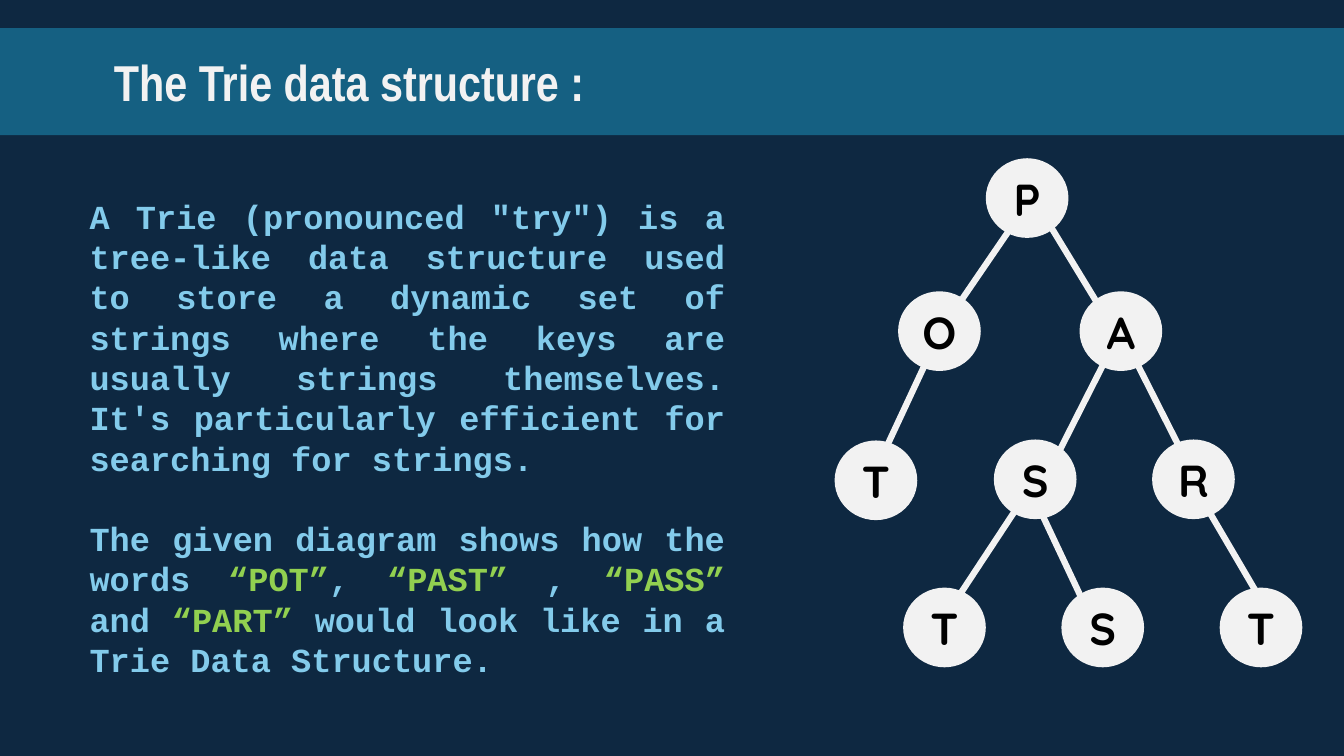
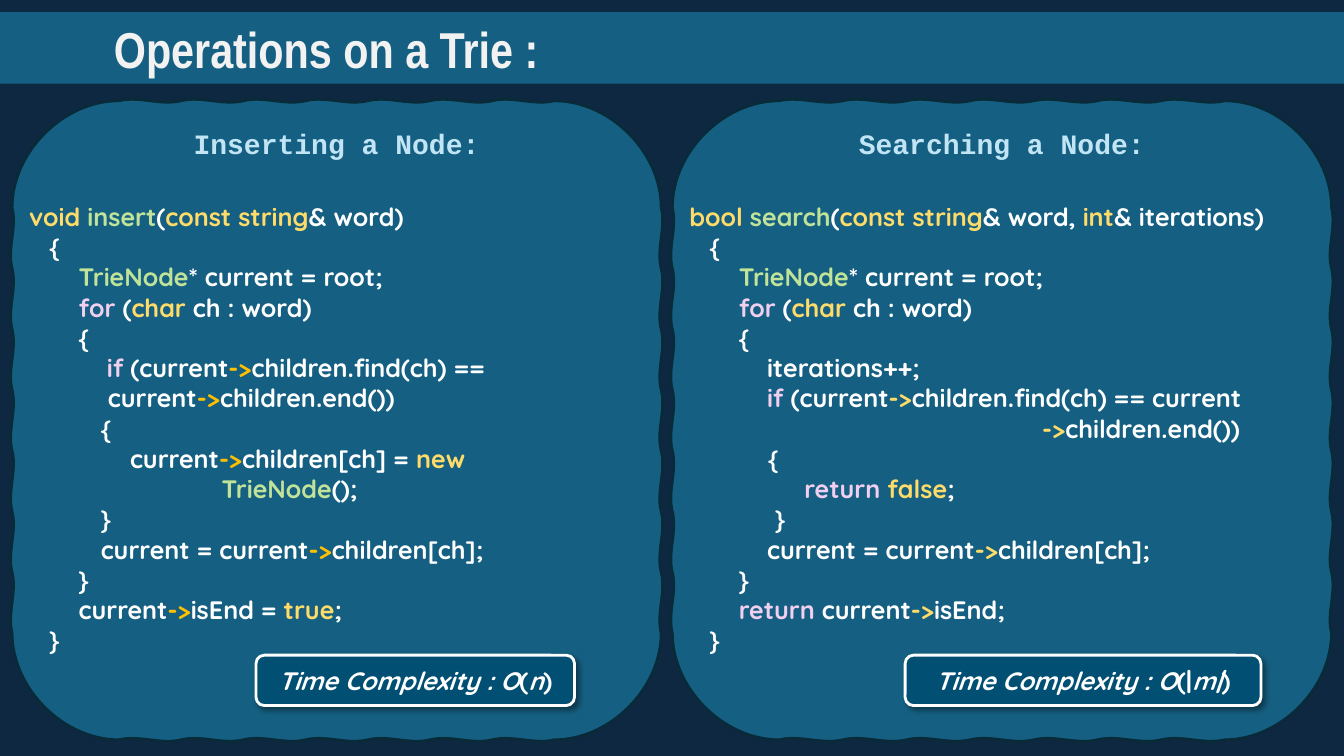
"""Build two slides that explain the Trie data structure and its operations."""
from dataclasses import dataclass

from lxml import etree
from pptx import Presentation
from pptx.dml.color import RGBColor
from pptx.enum.shapes import MSO_CONNECTOR, MSO_SHAPE
from pptx.enum.text import MSO_ANCHOR, PP_ALIGN
from pptx.oxml.ns import qn
from pptx.util import Inches, Pt


@dataclass(frozen=True)
class Theme:
    """Hold the colours, fonts and type sizes."""
    back: str = "0E2841"
    band: str = "156082"
    edge: str = "092A39"
    badge: str = "014F72"
    light: str = "F2F2F2"
    white: str = "FFFFFF"
    black: str = "000000"
    body: str = "83CBEB"
    word: str = "92D050"
    heading: str = "C1E5F5"
    gold: str = "FFDB69"
    green: str = "C0E399"
    pink: str = "F2CFEE"
    amber: str = "FFC000"
    title_font: str = "Arial Narrow"
    mono: str = "Courier New"
    round: str = "Quicksand"
    title_size: float = 36
    node_size: float = 32
    body_size: float = 24
    heading_size: float = 20
    code_size: float = 18
    body_pitch: float = 28.8
    code_pitch: float = 21.6


T = Theme()
SLIDE_W, SLIDE_H = 40 / 3, 7.5

INTRO = [
    ["A Trie (pronounced \"try\") is a tree-like data structure used to store a "
     "dynamic set of strings where the keys are usually strings themselves. "
     "It's particularly efficient for searching for strings."],
    ["The given diagram shows how the words ", ("“POT”", T.word), ", ",
     ("“PAST” ", T.word), ", ", ("“PASS” ", T.word), "and ",
     ("“PART” ", T.word), "would look like in a Trie Data Structure."],
]

NODE_W, NODE_H = 0.82, 0.79
NODES = [
    ("P", 9.78, 1.57),
    ("O", 8.91, 2.89), ("A", 10.71, 2.89),
    ("T", 8.28, 4.37), ("S", 9.86, 4.36), ("R", 11.43, 4.36),
    ("T", 8.96, 5.83), ("S", 10.53, 5.83), ("T", 12.1, 5.83),
]
BRANCHES = [
    (10.2, 2.01, 9.27, 3.37), (10.2, 1.88, 11.18, 3.49),
    (9.31, 3.33, 8.62, 4.81), (11.09, 3.33, 10.34, 4.81),
    (11.11, 3.27, 11.89, 4.81), (10.18, 4.9, 9.35, 6.16),
    (10.2, 4.81, 10.94, 6.38), (11.84, 4.81, 12.76, 6.38),
]

LOOP_START = [
    (0.37, ["{"]),
    (0.66, [("TrieNode", T.green), "* current = root;"]),
    (0.66, [("for", T.pink), " (", ("char", T.gold), " ch : word)"]),
    (0.66, ["{"]),
]
PANELS = [
    {
        "heading": "Inserting a Node:", "left": 0.12, "width": 6.44,
        "badge": (2.54, 3.16), "cost": ["(", ("n", None, True), ")"],
        "code": [
            (0.17, [("void ", T.gold), ("insert", T.green), "(",
                    ("const string", T.gold), "& word)"]),
            *LOOP_START,
            (0.94, [("if", T.pink), " (current", ("->", T.amber),
                    "children.find(ch) =="]),
            (0.95, ["current", ("->", T.amber), "children.end())"]),
            (0.88, ["{"]),
            (1.17, ["current", ("->", T.amber), "children[ch] = ",
                    ("new", T.gold)]),
            (2.08, [("TrieNode", T.green), "();"]),
            (0.88, ["}"]),
            (0.88, ["current = current", ("->", T.amber), "children[ch];"]),
            (0.66, ["}"]),
            (0.66, ["current", ("->", T.amber), "isEnd = ",
                    ("true", T.gold), ";"]),
            (0.37, ["}"]),
        ],
    },
    {
        "heading": "Searching a Node:", "left": 6.67, "width": 6.54,
        "badge": (8.98, 3.53), "cost": ["(|", ("m|", None, True), ")"],
        "code": [
            (0.17, [("bool ", T.gold), ("search", T.green), "(",
                    ("const string", T.gold), "& word, ", ("int", T.gold),
                    "& iterations)"]),
            *LOOP_START,
            (0.94, ["iterations++;"]),
            (0.94, [("if", T.pink), " (current", ("->", T.gold),
                    "children.find(ch) == current"]),
            (3.67, [("->", T.gold), "children.end())"]),
            (0.95, ["{"]),
            (1.31, [("return ", T.pink), ("false", T.gold), ";"]),
            (1.02, ["}"]),
            (0.94, ["current = current", ("->", T.gold), "children[ch];"]),
            (0.66, ["}"]),
            (0.66, [("return", T.pink), " current", ("->", T.gold), "isEnd;"]),
            (0.37, ["}"]),
        ],
    },
]
PANEL_TOP, PANEL_H, CORNER, RIPPLE, WAVES = 1, 6.34, 1.06, 0.05, 7
HEADING_TOP, CODE_GAP = 1.26, 29


def rgb(value):
    """Turn a hex string into a colour."""
    return RGBColor.from_string(value)


def write(p, runs, font=T.round, size=T.code_size, color=T.white,
          align=PP_ALIGN.LEFT, pitch=None, before=0, indent=0):
    """Fill a paragraph with bold runs: text, or (text, colour, italic)."""
    p.alignment = align
    p.space_before = Pt(before)
    if pitch:
        p.line_spacing = Pt(pitch)
    if indent:
        p._p.get_or_add_pPr().set("marL", str(Inches(indent)))
    for run in runs:
        parts = (run,) if isinstance(run, str) else run
        text, tint, italic = (*parts, None, None)[:3]
        r = p.add_run()
        r.text = text
        r.font.name, r.font.size, r.font.bold = font, Pt(size), True
        r.font.italic = bool(italic)
        r.font.color.rgb = rgb(tint or color)


def frame(sp, inset=0, top=0, anchor=MSO_ANCHOR.MIDDLE, wrap=True):
    """Set the insets, anchor and wrapping of a shape's text."""
    tf = sp.text_frame
    tf.margin_left = tf.margin_right = Inches(inset)
    tf.margin_top, tf.margin_bottom = Inches(top), 0
    tf.vertical_anchor, tf.word_wrap = anchor, wrap
    return tf


def paint(sp, fill, line=None):
    """Set a flat fill and an optional outline, with no shadow."""
    sp.shadow.inherit = False
    sp.fill.solid()
    sp.fill.fore_color.rgb = rgb(fill)
    if line:
        sp.line.color.rgb = rgb(line)
        sp.line.width = Pt(2)
    else:
        sp.line.fill.background()


def add_shape(s, kind, box, fill, line=None):
    """Add a painted preset shape."""
    sp = s.shapes.add_shape(kind, *map(Inches, box))
    paint(sp, fill, line)
    return sp


def add_slide(prs, title, top, height):
    """Add a slide whose title is a full-width band."""
    s = prs.slides.add_slide(prs.slide_layouts[5])
    sp = s.shapes.title
    sp.left, sp.top, sp.width, sp.height = map(
        Inches, (0, top, SLIDE_W, height))
    sp.fill.solid()
    sp.fill.fore_color.rgb = rgb(T.band)
    tf = frame(sp)
    tf.margin_left = Inches(1.13)
    write(tf.paragraphs[0], [title], font=T.title_font, size=T.title_size,
          color=T.light)
    return s


def add_branch(s, x1, y1, x2, y2):
    """Add one arrow of the tree."""
    cx = s.shapes.add_connector(MSO_CONNECTOR.STRAIGHT,
                                *map(Inches, (x1, y1, x2, y2)))
    cx.line.color.rgb = rgb(T.light)
    cx.line.width = Pt(4.5)
    etree.SubElement(cx.line._get_or_add_ln(), qn("a:tailEnd"), type="triangle")
    etree.SubElement(cx._element.spPr, qn("a:effectLst"))


def add_node(s, letter, left, top):
    """Add one lettered circle of the tree."""
    sp = add_shape(s, MSO_SHAPE.OVAL, (left, top, NODE_W, NODE_H), T.light)
    write(frame(sp, wrap=False).paragraphs[0], [letter], size=T.node_size,
          color=T.black, align=PP_ALIGN.CENTER)


def panel_curves(left, width):
    """Compute the start and curve points of a rounded, rippled outline."""
    right, bottom = left + width, PANEL_TOP + PANEL_H
    corners = [(left, PANEL_TOP, 0, -1), (right, PANEL_TOP, 1, 0),
               (right, bottom, 0, 1), (left, bottom, -1, 0)]
    points = [(left, PANEL_TOP + CORNER)]
    for i, (x, y, dx, dy) in enumerate(corners):
        ax, ay = -dy, dx
        x0, y0 = x - dx * CORNER, y - dy * CORNER
        x1, y1 = x + ax * CORNER, y + ay * CORNER
        bend = 0.52 * CORNER
        points += [(x0 + dx * bend, y0 + dy * bend),
                   (x1 - ax * bend, y1 - ay * bend), (x1, y1)]
        step = ((width if i % 2 == 0 else PANEL_H) - 2 * CORNER) / WAVES
        for k in range(WAVES):
            for along, out in ((1 / 3, RIPPLE), (2 / 3, -RIPPLE), (1, 0)):
                reach = (k + along) * step
                points.append((x1 + ax * reach + dx * out,
                               y1 + ay * reach + dy * out))
    return [(Inches(px), Inches(py)) for px, py in points]


def add_outline(s, points):
    """Add a closed freeform whose points are taken as cubic curves."""
    fb = s.shapes.build_freeform(*points[0])
    fb.add_line_segments(points[1:], close=True)
    sp = fb.convert_to_shape()
    lines = list(sp._element.iter(qn("a:lnTo")))[:len(points) - 1]
    for first, second, third in zip(lines[::3], lines[1::3], lines[2::3]):
        first.tag = qn("a:cubicBezTo")
        for line in (second, third):
            first.append(line[0])
            line.getparent().remove(line)
    return sp


def add_badge(s, left, width, cost):
    """Add the time complexity label with its soft shadow."""
    sp = add_shape(s, MSO_SHAPE.ROUNDED_RECTANGLE, (left, 6.5, width, 0.5),
                   T.badge, T.white)
    effects = sp._element.spPr.find(qn("a:effectLst"))
    shadow = etree.SubElement(effects, qn("a:outerShdw"), blurRad=str(Pt(4)),
                              dist=str(Pt(3)), dir="2700000", algn="tl",
                              rotWithShape="0")
    tint = etree.SubElement(shadow, qn("a:srgbClr"), val=T.black)
    etree.SubElement(tint, qn("a:alpha"), val="40000")
    write(frame(sp).paragraphs[0],
          [("Time Complexity : O", None, True), *cost], align=PP_ALIGN.CENTER)


def add_panel(s, panel):
    """Add one operation as a rippled panel with heading and code."""
    sp = add_outline(s, panel_curves(panel["left"], panel["width"]))
    paint(sp, T.band, T.edge)
    tf = frame(sp, inset=RIPPLE, top=HEADING_TOP - PANEL_TOP + RIPPLE,
               anchor=MSO_ANCHOR.TOP)
    write(tf.paragraphs[0], [panel["heading"]], font=T.mono,
          size=T.heading_size, color=T.heading, align=PP_ALIGN.CENTER)
    for i, (indent, runs) in enumerate(panel["code"]):
        write(tf.add_paragraph(), runs, pitch=T.code_pitch, indent=indent,
              before=0 if i else CODE_GAP)


def main():
    """Build the presentation and save it."""
    prs = Presentation()
    prs.slide_width, prs.slide_height = Inches(SLIDE_W), Inches(SLIDE_H)
    fill = prs.slide_master.background.fill
    fill.solid()
    fill.fore_color.rgb = rgb(T.back)

    s = add_slide(prs, "The Trie data structure :", 0.28, 1.06)
    sp = s.shapes.add_textbox(*map(Inches, (0.79, 1.89, 6.5, 4.95)))
    tf = frame(sp, inset=0.1, top=0.05, anchor=MSO_ANCHOR.TOP)
    for i, runs in enumerate(INTRO):
        p = tf.add_paragraph() if i else tf.paragraphs[0]
        write(p, runs, font=T.mono, size=T.body_size, color=T.body,
              align=PP_ALIGN.JUSTIFY, pitch=T.body_pitch,
              before=T.body_pitch if i else 0)
    for branch in BRANCHES:
        add_branch(s, *branch)
    for node in NODES:
        add_node(s, *node)

    s = add_slide(prs, "Operations on a Trie :", 0.12, 0.71)
    for panel in PANELS:
        add_panel(s, panel)
    for panel in PANELS:
        add_badge(s, *panel["badge"], panel["cost"])
    prs.save("out.pptx")


if __name__ == "__main__":
    main()
